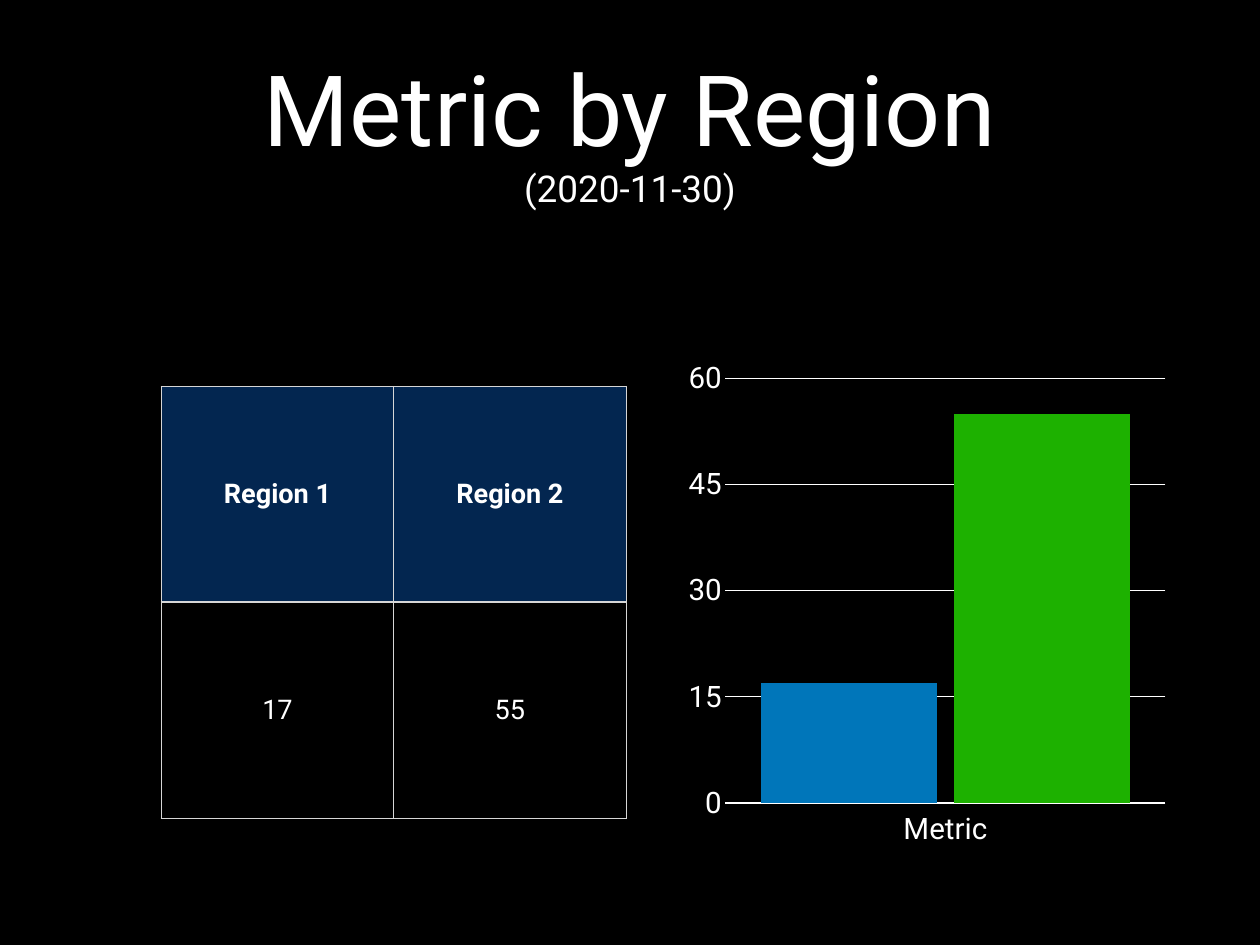
from lxml import etree
from pptx import Presentation
from pptx import util as u
from pptx.chart.data import CategoryChartData
from pptx.dml.color import RGBColor
from pptx.enum import chart as charts, text
from pptx.oxml import parse_xml
from pptx.oxml.ns import nsdecls, qn

WIDTH, HEIGHT = u.Inches(14.22), u.Inches(10.67)
FONT = "Roboto"
BLACK = RGBColor(0x00, 0x00, 0x00)
WHITE = RGBColor(0xFF, 0xFF, 0xFF)
NAVY = RGBColor(0x03, 0x26, 0x50)
BLUE = RGBColor(0x00, 0x76, 0xBA)
GREEN = RGBColor(0x1D, 0xB1, 0x00)
GREY = RGBColor(0xD6, 0xD6, 0xD6)

INSET = u.Inches(0.06)
REGIONS = {"Region 1": 17, "Region 2": 55}
TITLE_AREA = (0.073, 0.026, 0.854, 0.221)
CHART_AREA = (0.53, 0.364, 0.397, 0.546)
TABLE_AREA = (0.128, 0.409, 0.369, 0.457)
PLOT_AREA = {"x": 0.115, "y": 0.067, "w": 0.88, "h": 0.823}


def place(left, top, width, height):
    """Turn shares of the slide's size into lengths."""
    return (int(WIDTH * left), int(HEIGHT * top),
            int(WIDTH * width), int(HEIGHT * height))


def format_font(font, size, bold=False, color=WHITE):
    font.name = FONT
    font.size = u.Pt(size)
    font.bold = bold
    font.color.rgb = color


def write(paragraph, words, align=text.PP_ALIGN.CENTER, **font_format):
    paragraph.alignment = align
    run = paragraph.add_run()
    run.text = words
    format_font(run.font, **font_format)


def set_insets(holder):
    holder.margin_left = holder.margin_right = INSET
    holder.margin_top = holder.margin_bottom = INSET
    holder.vertical_anchor = text.MSO_ANCHOR.MIDDLE


def fill_title(slide, title, subtitle):
    shape = slide.shapes.title
    shape.left, shape.top, shape.width, shape.height = place(*TITLE_AREA)
    frame = shape.text_frame
    frame.word_wrap = True
    frame.auto_size = text.MSO_AUTO_SIZE.NONE
    set_insets(frame)
    write(frame.paragraphs[0], title, size=80)
    write(frame.add_paragraph(), subtitle, size=30)


def draw_borders(cell, **widths):
    properties = cell._tc.get_or_add_tcPr()
    for side in ("L", "R", "T", "B"):
        properties.append(parse_xml(
            f'<a:ln{side} {nsdecls("a")} w="{u.Pt(widths.get(side, 1))}">'
            f'<a:solidFill><a:srgbClr val="{GREY}"/></a:solidFill>'
            f'</a:ln{side}>'))


def fill_cell(cell, words, header):
    set_insets(cell)
    write(cell.text_frame.paragraphs[0], words, size=22, bold=header)
    if header:
        draw_borders(cell, B=2)
        cell.fill.solid()
        cell.fill.fore_color.rgb = NAVY
    else:
        draw_borders(cell)
        cell.fill.background()


def add_region_table(slide):
    table = slide.shapes.add_table(2, len(REGIONS), *place(*TABLE_AREA)).table
    table.horz_banding = False
    for column, (region, value) in enumerate(REGIONS.items()):
        fill_cell(table.cell(0, column), region, header=True)
        fill_cell(table.cell(1, column), str(value), header=False)


def format_axis(axis):
    axis.major_tick_mark = axis.minor_tick_mark = charts.XL_TICK_MARK.NONE
    format_font(axis.tick_labels.font, size=24)


def format_line(line):
    line.color.rgb = WHITE
    line.width = u.Pt(1)


def set_plot_layout(chart):
    """Fix the inner plot area as shares of the chart's size."""
    plot_area = chart._chartSpace.chart.plotArea
    for old in plot_area.findall(qn("c:layout")):
        plot_area.remove(old)
    layout = etree.Element(qn("c:layout"))
    manual = etree.SubElement(layout, qn("c:manualLayout"))
    settings = {"layoutTarget": "inner", "xMode": "edge", "yMode": "edge"}
    for name, value in {**settings, **PLOT_AREA}.items():
        etree.SubElement(manual, qn(f"c:{name}"), val=str(value))
    plot_area.insert(0, layout)


def add_region_chart(slide):
    data = CategoryChartData()
    data.categories = ["Metric"]
    for region, value in REGIONS.items():
        data.add_series(region, [value])
    chart = slide.shapes.add_chart(charts.XL_CHART_TYPE.COLUMN_CLUSTERED,
                                   *place(*CHART_AREA), data).chart
    chart.has_legend = chart.has_title = False
    format_font(chart.font, size=10)
    set_plot_layout(chart)

    plot = chart.plots[0]
    plot.gap_width, plot.overlap, plot.vary_by_categories = 40, -10, False
    for series, color in zip(plot.series, (BLUE, GREEN)):
        series.format.fill.solid()
        series.format.fill.fore_color.rgb = color

    categories, values = chart.category_axis, chart.value_axis
    format_axis(categories)
    categories.tick_label_position = charts.XL_TICK_LABEL_POSITION.LOW
    format_line(categories.format.line)
    format_axis(values)
    values.minimum_scale, values.maximum_scale, values.major_unit = 0, 60, 15
    values.format.line.fill.background()
    format_line(values.major_gridlines.format.line)


def main():
    presentation = Presentation()
    presentation.slide_width, presentation.slide_height = WIDTH, HEIGHT
    slide = presentation.slides.add_slide(
        presentation.slide_layouts.get_by_name("Title Only"))
    slide.background.fill.solid()
    slide.background.fill.fore_color.rgb = BLACK
    fill_title(slide, "Metric by Region", "(2020-11-30)")
    add_region_chart(slide)
    add_region_table(slide)
    presentation.save("out.pptx")


if __name__ == "__main__":
    main()
